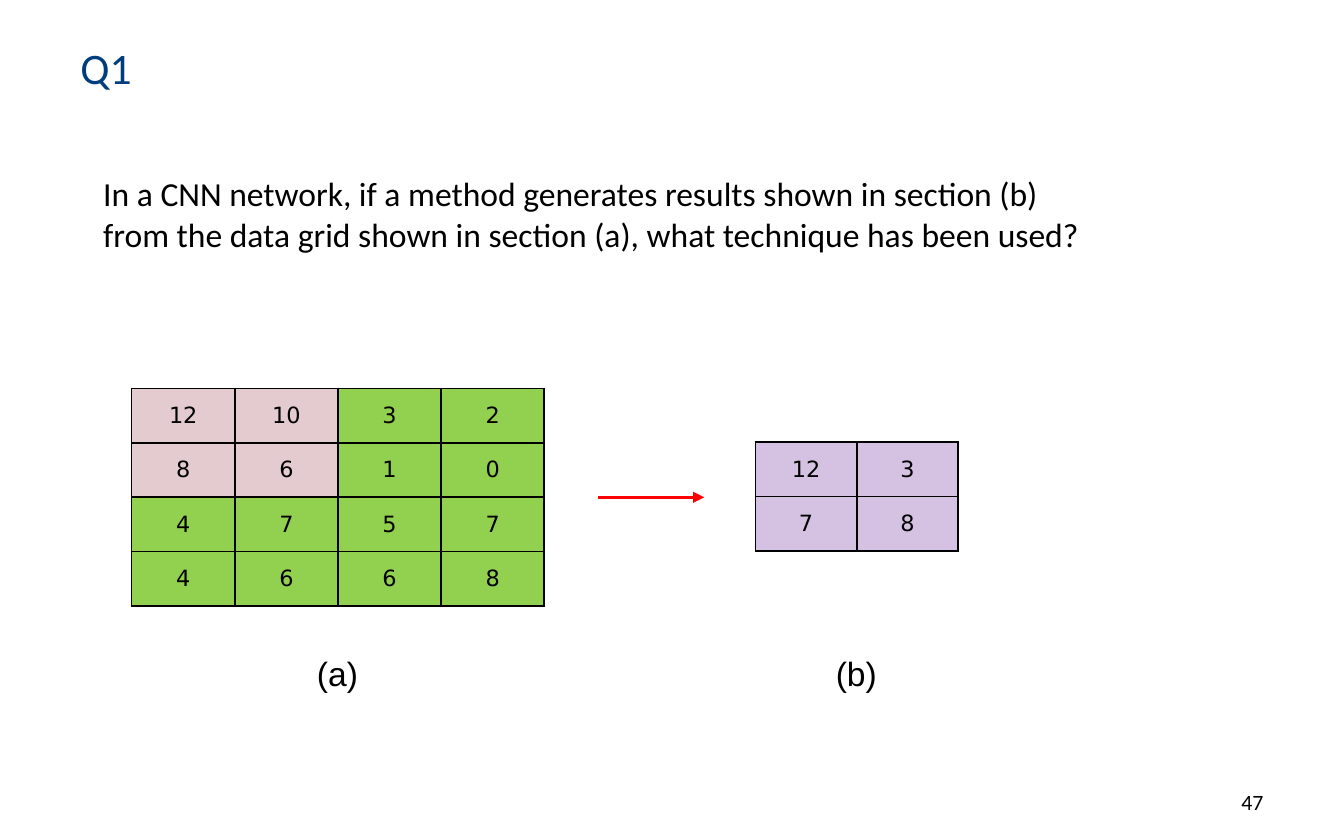
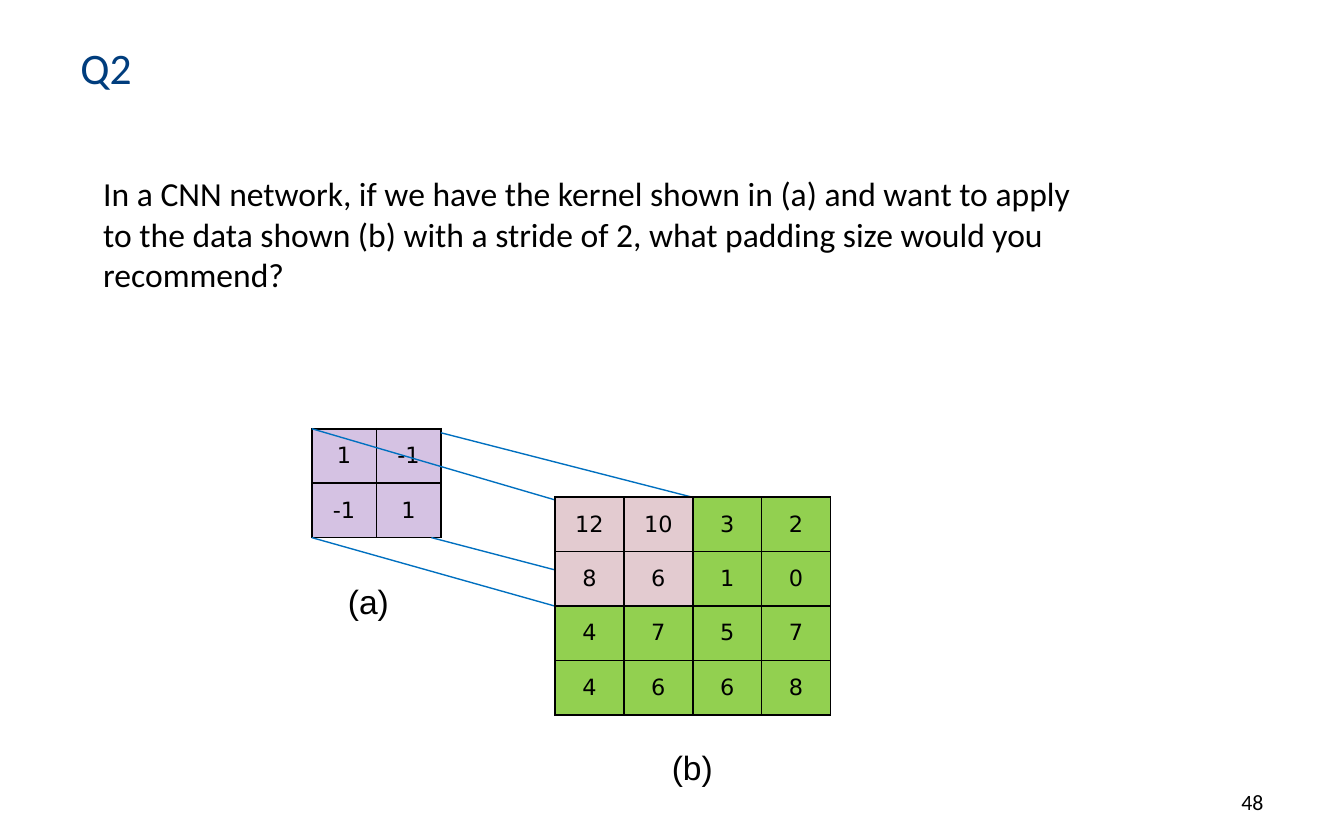
from dataclasses import dataclass

from lxml import etree
from pptx import Presentation
from pptx.dml.color import RGBColor
from pptx.enum.shapes import MSO_CONNECTOR
from pptx.enum.text import MSO_ANCHOR, MSO_AUTO_SIZE, PP_ALIGN
from pptx.oxml import parse_xml
from pptx.oxml.ns import nsdecls, qn
from pptx.util import Inches, Pt

STRAIGHT = MSO_CONNECTOR.STRAIGHT
TOP, MIDDLE = MSO_ANCHOR.TOP, MSO_ANCHOR.MIDDLE
LEFT, CENTER, RIGHT = PP_ALIGN.LEFT, PP_ALIGN.CENTER, PP_ALIGN.RIGHT
FIT_SHAPE = MSO_AUTO_SIZE.SHAPE_TO_FIT_TEXT


@dataclass(frozen=True)
class Theme:
    title: str = "003D7D"
    ink: str = "000000"
    window: str = "E3CBD0"
    data: str = "92D050"
    purple: str = "7030A0"
    purple_opacity: int = 29
    arrow: str = "FF0000"
    projection: str = "0070C0"
    text_font: str = "Calibri"
    label_font: str = "Arial"
    cell_font: str = "DejaVu Sans"
    title_size: float = 23.3
    body_size: float = 18
    cell_size: float = 12
    number_size: float = 11.7
    arrow_width: float = 1.75
    projection_width: float = 0.75
    border_width: float = 1


THEME = Theme()
ROW_HEIGHT = 0.405
WINDOW_SIZE = 2
DATA_GRID = [[12, 10, 3, 2], [8, 6, 1, 0], [4, 7, 5, 7], [4, 6, 6, 8]]
POOLED_GRID = [[12, 3], [7, 8]]
KERNEL = [[1, -1], [-1, 1]]
PROJECTIONS = [
    ((2.32, 3.19), (4.13, 3.72)),
    ((2.32, 4), (4.13, 4.51)),
    ((3.21, 4), (5.16, 4.51)),
    ((3.28, 3.22), (5.23, 3.72)),
]


def write_text(frame, text, *, size, font=THEME.text_font, color=THEME.ink, align=LEFT):
    paragraph = frame.paragraphs[0]
    paragraph.alignment = align
    run = paragraph.add_run()
    run.text = text
    run.font.size = Pt(size)
    run.font.name = font
    run.font.color.rgb = RGBColor.from_string(color)


def add_text(slide, text, box, *, anchor=TOP, wrap=True, grow=False, **text_format):
    frame = slide.shapes.add_textbox(*map(Inches, box)).text_frame
    frame.word_wrap = wrap
    frame.vertical_anchor = anchor
    if grow:
        frame.auto_size = FIT_SHAPE
    write_text(frame, text, **text_format)


def set_borders(cell):
    properties = cell._tc.get_or_add_tcPr()
    for position, side in enumerate(("lnL", "lnR", "lnT", "lnB")):
        border = parse_xml(
            f'<a:{side} {nsdecls("a")} w="{Pt(THEME.border_width)}">'
            f'<a:solidFill><a:srgbClr val="{THEME.ink}"/></a:solidFill></a:{side}>'
        )
        properties.insert(position, border)


def fill_cell(cell, color, opacity=100):
    cell.fill.solid()
    cell.fill.fore_color.rgb = RGBColor.from_string(color)
    if opacity < 100:
        color_element = cell._tc.tcPr.find(qn("a:solidFill"))[0]
        etree.SubElement(color_element, qn("a:alpha"), val=str(opacity * 1000))


def add_grid(slide, values, left, top, width, fill_rule):
    rows, columns = len(values), len(values[0])
    frame = slide.shapes.add_table(
        rows, columns, Inches(left), Inches(top), Inches(width), Inches(ROW_HEIGHT * rows)
    )
    table = frame.table
    table.first_row = table.horz_banding = False
    for row, row_values in enumerate(values):
        for column, value in enumerate(row_values):
            cell = table.cell(row, column)
            cell.vertical_anchor = MIDDLE
            write_text(cell.text_frame, str(value), size=THEME.cell_size,
                       font=THEME.cell_font, align=CENTER)
            fill_cell(cell, *fill_rule(row, column))
            set_borders(cell)


def add_data_grid(slide, left, top, width):
    def fill_rule(row, column):
        return (THEME.window if max(row, column) < WINDOW_SIZE else THEME.data,)

    add_grid(slide, DATA_GRID, left, top, width, fill_rule)


def add_purple_grid(slide, values, left, top, width):
    add_grid(slide, values, left, top, width,
             lambda row, column: (THEME.purple, THEME.purple_opacity))


def add_line(slide, start, end, color, width, arrow=False):
    connector = slide.shapes.add_connector(STRAIGHT, *map(Inches, start + end))
    connector.line.color.rgb = RGBColor.from_string(color)
    connector.line.width = Pt(width)
    if arrow:
        etree.SubElement(connector.line._get_or_add_ln(), qn("a:tailEnd"), type="triangle")
    etree.SubElement(connector._element.spPr, qn("a:effectLst"))


def add_label(slide, text, left, top):
    add_text(slide, text, (left, top, 0.51, 0.4), wrap=False, grow=True,
             size=THEME.body_size, font=THEME.label_font)


def add_question_slide(presentation, title, number, question, question_height):
    slide = presentation.slides.add_slide(presentation.slide_layouts[6])
    add_text(slide, title, (0.5, -0.02, 9, 1.04), anchor=MIDDLE,
             size=THEME.title_size, color=THEME.title)
    add_text(slide, str(number), (7.17, 5.82, 2.33, 0.31),
             size=THEME.number_size, align=RIGHT)
    add_text(slide, question, (0.67, 1.24, 7.56, question_height), grow=True,
             size=THEME.body_size)
    return slide


def add_pooling_slide(presentation):
    slide = add_question_slide(
        presentation, "Q1", 47,
        "In a CNN network, if a method generates results shown in section (b) "
        "from the data grid shown in section (a), what technique has been used?", 0.71)
    add_data_grid(slide, 0.98, 2.89, 3.07)
    add_purple_grid(slide, POOLED_GRID, 5.62, 3.29, 1.51)
    add_line(slide, (4.45, 3.7), (5.24, 3.7), THEME.arrow, THEME.arrow_width, arrow=True)
    add_label(slide, "(a)", 2.26, 4.81)
    add_label(slide, "(b)", 6.12, 4.81)


def add_padding_slide(presentation):
    slide = add_question_slide(
        presentation, "Q2", 48,
        "In a CNN network, if we have the kernel shown in (a) and want to apply "
        "to the data shown (b) with a stride of 2, what padding size would you "
        "recommend?", 1.01)
    add_purple_grid(slide, KERNEL, 2.32, 3.19, 0.96)
    for start, end in PROJECTIONS:
        add_line(slide, start, end, THEME.projection, THEME.projection_width)
    add_data_grid(slide, 4.13, 3.7, 2.05)
    add_label(slide, "(a)", 2.49, 4.27)
    add_label(slide, "(b)", 4.9, 5.51)


def main():
    presentation = Presentation()
    presentation.slide_width = Inches(10)
    presentation.slide_height = Inches(6.25)
    add_pooling_slide(presentation)
    add_padding_slide(presentation)
    presentation.save("out.pptx")


if __name__ == "__main__":
    main()
